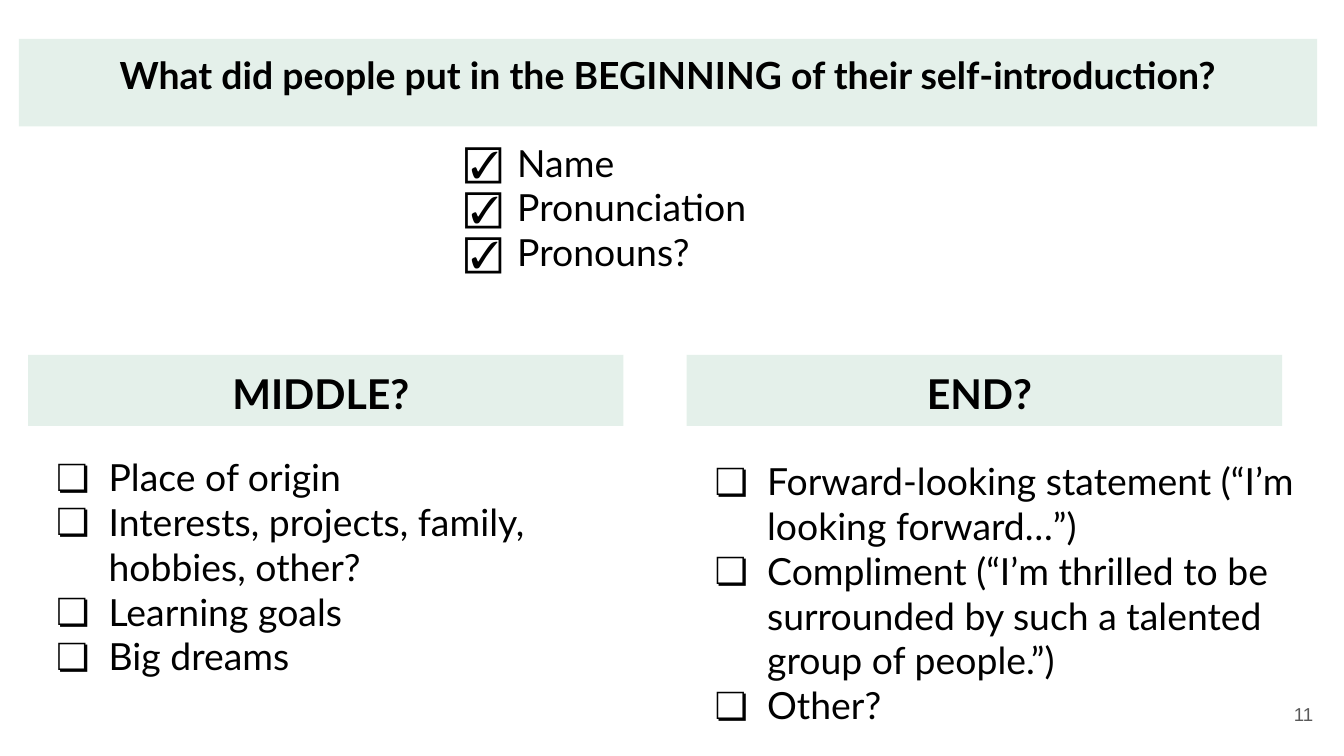
from lxml.etree import SubElement
from pptx import Presentation
from pptx.dml.color import RGBColor
from pptx.enum.shapes import MSO_SHAPE
from pptx.enum.text import MSO_ANCHOR, MSO_AUTO_SIZE, PP_ALIGN
from pptx.oxml.ns import qn
from pptx.util import Inches, Pt

BLACK = RGBColor(0x00, 0x00, 0x00)
GREEN = RGBColor(0x4C, 0xA1, 0x73)
GRAY = RGBColor(0x59, 0x59, 0x59)
BAND_OPACITY = 15  # percent

TICKED, EMPTY = "☑", "❏"


def prepare_frame(shape, anchor=MSO_ANCHOR.TOP):
    frame = shape.text_frame
    frame.word_wrap = True
    frame.vertical_anchor = anchor
    frame.margin_left = frame.margin_right = Inches(0.1)
    frame.margin_top = frame.margin_bottom = Inches(0.1)
    return frame


def add_span(para, text, size, color=BLACK, bold=False, font="Lato"):
    span = para.add_run()
    span.text = text
    span.font.name = font
    span.font.size = Pt(size)
    span.font.bold = bold
    span.font.color.rgb = color


def add_bullet(para, mark):
    """Give the paragraph a hanging indent and a black bullet."""
    props = para._p.get_or_add_pPr()
    props.set("marL", str(Inches(0.5)))
    props.set("indent", str(-Inches(0.39)))
    color = SubElement(props, qn("a:buClr"))
    SubElement(color, qn("a:srgbClr"), val=str(BLACK))
    SubElement(props, qn("a:buFont"), typeface="Lato")
    SubElement(props, qn("a:buChar"), char=mark)


def add_heading(page, left, top, width, height, text, size):
    """Translucent green band with a centred bold question."""
    band = page.shapes.add_shape(
        MSO_SHAPE.RECTANGLE, Inches(left), Inches(top), Inches(width), Inches(height))
    band.shadow.inherit = False
    band.fill.solid()
    band.fill.fore_color.rgb = GREEN
    color = band.fill._xPr.find(".//" + qn("a:srgbClr"))
    SubElement(color, qn("a:alpha"), val=str(BAND_OPACITY * 1000))
    band.line.fill.background()
    para = prepare_frame(band).paragraphs[0]
    para.alignment = PP_ALIGN.CENTER
    add_span(para, text, size, bold=True)


def add_checklist(page, left, top, width, height, mark, items, grow=False):
    box = page.shapes.add_textbox(
        Inches(left), Inches(top), Inches(width), Inches(height))
    frame = prepare_frame(box)
    frame.auto_size = MSO_AUTO_SIZE.SHAPE_TO_FIT_TEXT if grow else MSO_AUTO_SIZE.NONE
    for index, item in enumerate(items):
        para = frame.add_paragraph() if index else frame.paragraphs[0]
        add_bullet(para, mark)
        add_span(para, item, 20)


def add_page_number(page, left, top, width, height, number):
    box = page.shapes.add_textbox(
        Inches(left), Inches(top), Inches(width), Inches(height))
    para = prepare_frame(box, MSO_ANCHOR.MIDDLE).paragraphs[0]
    para.alignment = PP_ALIGN.RIGHT
    add_span(para, number, 10, GRAY, font="Arial")


def main():
    deck = Presentation()
    # Widescreen, 16:9
    deck.slide_width = Inches(10)
    deck.slide_height = Inches(10 * 9 / 16)
    page = deck.slides.add_slide(deck.slide_layouts[6])

    # Beginning, across the top
    add_heading(page, 0.14, 0.29, 9.66, 0.65,
                "What did people put in the BEGINNING of their self-introduction?", 20)
    add_checklist(page, 3.25, 0.94, 3.77, 1.45, TICKED,
                  ["Name", "Pronunciation", "Pronouns?"])

    # Middle and end, side by side
    columns = [
        (0.21, "MIDDLE? ", (3.28, 4.31, 1.89),
         ["Place of origin", "Interests, projects, family, hobbies, other?",
          "Learning goals", "Big dreams"]),
        (5.11, "END? ", (3.31, 4.63, 2.22),
         ["Forward-looking statement (“I’m looking forward…”)",
          "Compliment (“I’m thrilled to be surrounded by such a talented group of people.”)",
          "Other?"]),
    ]
    for left, heading, (top, width, height), items in columns:
        add_heading(page, left, 2.64, 4.43, 0.53, heading, 22)
        add_checklist(page, left, top, width, height, EMPTY, items, grow=True)

    add_page_number(page, 9.27, 5.1, 0.6, 0.43, "11")
    deck.save("out.pptx")


if __name__ == "__main__":
    main()
